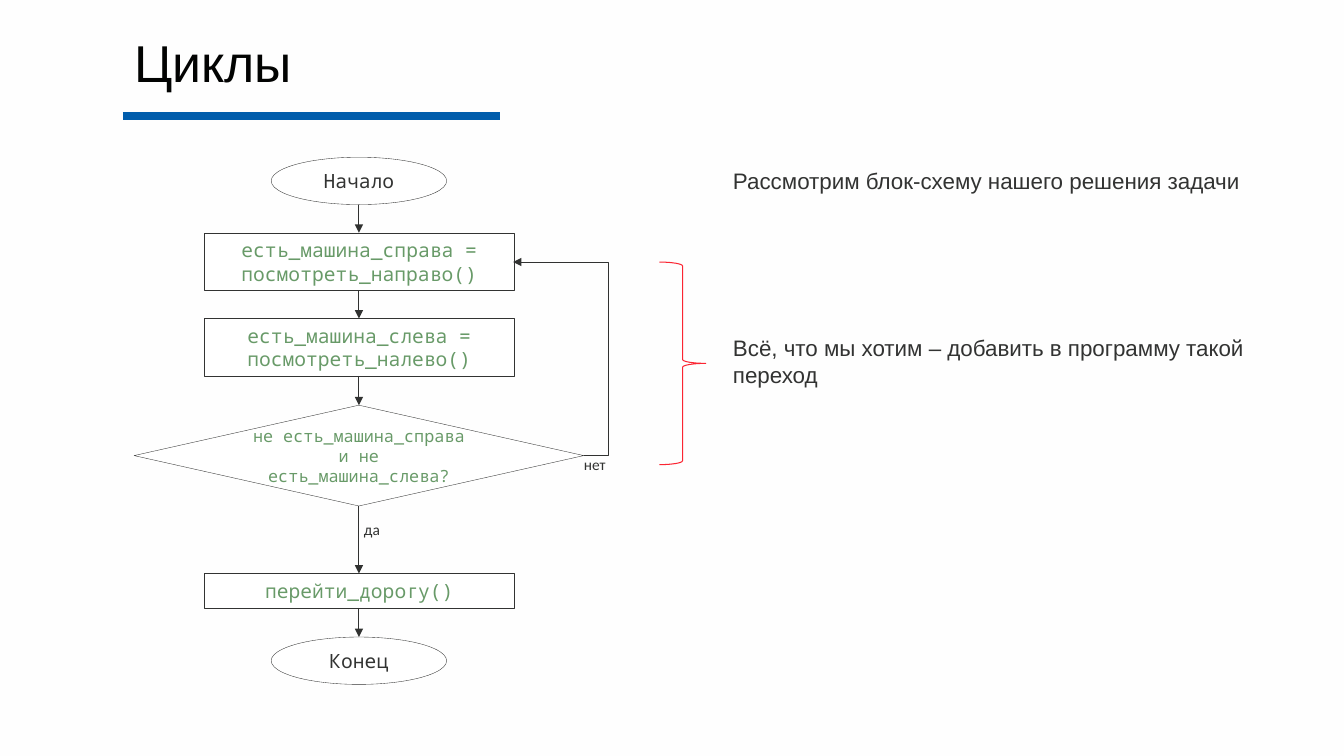
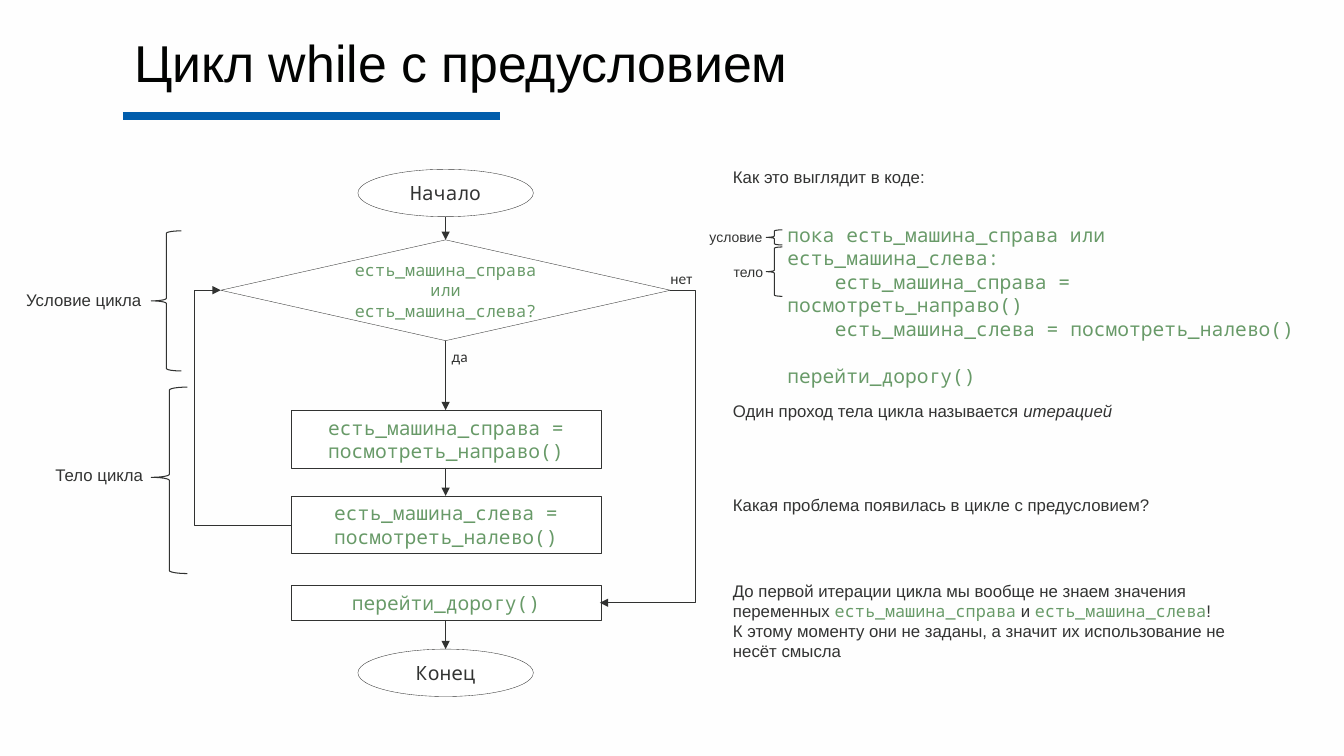
from dataclasses import dataclass

from lxml import etree
from pptx import Presentation
from pptx import util as u
from pptx.dml.color import RGBColor
from pptx.enum import shapes, text
from pptx.oxml.ns import qn

PX = 9144  # EMU in one px: 100 px to the inch
WIDTH, HEIGHT = 1333, 750
INSET = 5

PAPER, WHITE, BLACK = "FEFEFE", "FFFFFF", "020302"
INK, LINE, CODE, BLUE, RED = "323332", "313231", "689A68", "015DAC", "FB2532"
SANS, MONO, LABEL = "Arial", "Noto Sans Mono", "Calibri"

FLOW = shapes.MSO_SHAPE
LEFT, CENTER, RIGHT = text.PP_ALIGN.LEFT, text.PP_ALIGN.CENTER, text.PP_ALIGN.RIGHT
Point = tuple[int, int]


@dataclass(frozen=True)
class NodeKind:
    preset: int
    width: int
    height: int
    size: int = 14
    color: str = CODE


@dataclass(frozen=True)
class Node:
    kind: NodeKind
    top: int
    words: str
    linked: bool = True

    @property
    def bottom(self) -> int:
        return self.top + self.kind.height

    @property
    def middle(self) -> int:
        return self.top + self.kind.height // 2


@dataclass(frozen=True)
class Span:
    words: str
    font: str | None = None
    color: str | None = None
    italic: bool | None = None


@dataclass(frozen=True)
class Para:
    spans: tuple[Span, ...]
    indent: int = 0
    before: int = 0


@dataclass(frozen=True)
class Brace:
    preset: int
    left: int
    top: int
    width: int
    height: int
    color: str = LINE
    point: float = 0.5


TERMINAL = NodeKind(FLOW.FLOWCHART_CONNECTOR, 174, 47, color=INK)
ACTION = NodeKind(FLOW.FLOWCHART_PROCESS, 307, 57)
SHORT_ACTION = NodeKind(FLOW.FLOWCHART_PROCESS, 307, 34)
DECISION = NodeKind(FLOW.FLOWCHART_DECISION, 446, 100, size=12)

LOOK_RIGHT = "есть_машина_справа = посмотреть_направо()"
LOOK_LEFT = "есть_машина_слева = посмотреть_налево()"
CROSS = "перейти_дорогу()"


def px(*lengths: int) -> list[u.Emu]:
    return [u.Emu(length * PX) for length in lengths]


def rgb(color: str) -> RGBColor:
    return RGBColor.from_string(color)


def plain(words: str, **layout) -> Para:
    return Para((Span(words),), **layout)


def write(frame, *paras: Para, size: int, font: str = SANS, color: str = INK,
          align=LEFT) -> None:
    """Fill a text frame; a span may override font and colour."""
    for number, item in enumerate(paras):
        para = frame.add_paragraph() if number else frame.paragraphs[0]
        para.alignment = align
        if item.before:
            para.space_before = u.Pt(item.before)
        if item.indent:
            para._p.get_or_add_pPr().set("indent", str(item.indent * PX))
        for part in item.spans:
            span = para.add_run()
            span.text = part.words
            span.font.name = part.font or font
            span.font.size = u.Pt(size)
            span.font.italic = part.italic
            span.font.color.rgb = rgb(part.color or color)


def set_insets(frame) -> None:
    frame.margin_left, frame.margin_top, frame.margin_right, frame.margin_bottom = px(*[INSET] * 4)


def add_text(page, left: int, top: int, width: int, height: int, *paras: Para,
             wrap: bool = True, **style) -> None:
    box = page.shapes.add_textbox(*px(left, top, width, height))
    frame = box.text_frame
    set_insets(frame)
    frame.word_wrap = wrap
    frame.auto_size = text.MSO_AUTO_SIZE.SHAPE_TO_FIT_TEXT
    write(frame, *paras, **style)


def add_line(page, start: Point, end: Point, color: str = LINE, weight: float = 0.75,
             arrow: bool = True, lane: int | None = None) -> None:
    """Draw a straight line, or an elbow that runs along x = lane."""
    kinds = shapes.MSO_CONNECTOR
    kind = kinds.STRAIGHT if lane is None else kinds.ELBOW
    line = page.shapes.add_connector(kind, *px(*start, *end))
    line.line.color.rgb = rgb(color)
    line.line.width = u.Pt(weight)
    props = line.element.spPr
    if arrow:
        etree.SubElement(props.find(qn("a:ln")), qn("a:tailEnd"), type="triangle")
    if lane is not None:
        ratio = (lane - start[0]) / (end[0] - start[0])
        guides = props.find(qn("a:prstGeom")).get_or_add_avLst()
        etree.SubElement(guides, qn("a:gd"), name="adj1", fmla=f"val {round(ratio * 100000)}")
    etree.SubElement(props, qn("a:effectLst"))


def add_node(page, center: int, node: Node) -> None:
    kind = node.kind
    box = page.shapes.add_shape(
        kind.preset, *px(center - kind.width // 2, node.top, kind.width, kind.height))
    box.shadow.inherit = False
    box.fill.solid()
    box.fill.fore_color.rgb = rgb(WHITE)
    box.line.color.rgb = rgb(INK)
    box.line.width = u.Pt(0.25)
    frame = box.text_frame
    set_insets(frame)
    frame.word_wrap = True
    frame.vertical_anchor = text.MSO_ANCHOR.MIDDLE
    write(frame, plain(node.words), size=kind.size, font=MONO, color=kind.color, align=CENTER)


def add_flow(page, center: int, nodes: list[Node]) -> None:
    """Draw the nodes on one axis and the arrows between linked neighbours."""
    for node in nodes:
        add_node(page, center, node)
    for upper, lower in zip(nodes, nodes[1:]):
        if lower.linked:
            add_line(page, (center, upper.bottom), (center, lower.top))


def add_brace(page, brace: Brace) -> None:
    box = page.shapes.add_shape(
        brace.preset, *px(brace.left, brace.top, brace.width, brace.height))
    box.shadow.inherit = False
    box.fill.background()
    box.line.color.rgb = rgb(brace.color)
    box.line.width = u.Pt(0.75)
    box.adjustments[1] = brace.point


def add_branch_label(page, left: int, top: int, words: str) -> None:
    add_text(page, left, top, 32, 29, plain(words), size=11, font=LABEL, wrap=False)


def add_note(page, top: int, height: int, *paras: Para, size: int) -> None:
    add_text(page, 722, top, 543, height, *paras, size=size)


def add_page(deck, title: str):
    page = deck.slides.add_slide(deck.slide_layouts.get_by_name("Title Only"))
    add_line(page, (122, 115), (496, 115), color=BLUE, weight=6, arrow=False)
    box = page.shapes.title
    box.left, box.top, box.width, box.height = px(123, 39, 1064, 60)
    frame = box.text_frame
    frame.auto_size = text.MSO_AUTO_SIZE.NONE
    frame.vertical_anchor = text.MSO_ANCHOR.MIDDLE
    write(frame, plain(title), size=37, color=BLACK)
    frame.paragraphs[0].line_spacing = 0.7
    return page


def build_loops(deck) -> None:
    page = add_page(deck, "Циклы")
    center = 356
    look_right = Node(ACTION, 231, LOOK_RIGHT)
    check = Node(DECISION, 402, "не есть_машина_справа и не есть_машина_слева?")
    add_flow(page, center, [
        Node(TERMINAL, 156, "Начало"),
        look_right,
        Node(ACTION, 316, LOOK_LEFT),
        check,
        Node(SHORT_ACTION, 569, CROSS),
        Node(TERMINAL, 632, "Конец"),
    ])
    add_line(page, (center + DECISION.width // 2, check.middle),
             (center + ACTION.width // 2, look_right.middle + 1), lane=604)
    add_branch_label(page, 356, 511, "да")
    add_branch_label(page, 574, 447, "нет")
    add_note(page, 161, 37, plain("Рассмотрим блок-схему нашего решения задачи"), size=16)
    add_note(page, 327, 64,
             plain("Всё, что мы хотим – добавить в программу такой переход"), size=16)
    add_brace(page, Brace(FLOW.RIGHT_BRACE, 654, 260, 46, 201, RED))


def build_while(deck) -> None:
    page = add_page(deck, "Цикл while c предусловием")
    center = 442
    check = Node(DECISION, 238, "есть_машина_справа или есть_машина_слева?")
    look_left = Node(ACTION, 492, LOOK_LEFT)
    cross = Node(SHORT_ACTION, 581, CROSS, linked=False)
    add_flow(page, center, [
        Node(TERMINAL, 168, "Начало"),
        check,
        Node(ACTION, 407, LOOK_RIGHT),
        look_left,
        cross,
        Node(TERMINAL, 644, "Конец"),
    ])
    half_check, half_action = DECISION.width // 2, ACTION.width // 2
    add_line(page, (center + half_check, check.middle),
             (center + half_action, cross.middle), lane=690)
    add_line(page, (center - half_action, look_left.middle + 1),
             (center - half_check, check.middle), lane=193)
    add_branch_label(page, 443, 339, "да")
    add_branch_label(page, 660, 262, "нет")

    for brace in (
        Brace(FLOW.LEFT_BRACE, 150, 229, 30, 139),
        Brace(FLOW.LEFT_BRACE, 150, 384, 36, 185, point=0.484),
        Brace(FLOW.LEFT_BRACE, 760, 228, 16, 15),
        Brace(FLOW.LEFT_BRACE, 760, 245, 16, 49),
    ):
        add_brace(page, brace)
    add_text(page, 21, 283, 128, 30, plain("Условие цикла"), size=12)
    add_text(page, 50, 456, 130, 30, plain("Тело цикла"), size=12)
    add_text(page, 684, 222, 77, 27, plain("условие"), size=10, align=RIGHT)
    add_text(page, 711, 257, 51, 27, plain("тело"), size=10, align=RIGHT)

    add_text(page, 776, 216, 525, 128,
             plain("пока есть_машина_справа или есть_машина_слева:"),
             plain(LOOK_RIGHT, indent=47),
             plain(LOOK_LEFT, indent=47),
             plain(CROSS, before=17),
             size=14, font=MONO, color=CODE)
    add_note(page, 161, 30, plain("Как это выглядит в коде:"), size=12)
    add_note(page, 393, 30, Para((Span("Один проход тела цикла называется "),
                                  Span("итерацией", italic=True))), size=12)
    add_note(page, 486, 30, plain("Какая проблема появилась в цикле с предусловием?"), size=12)
    add_note(page, 571, 91,
             Para((Span("До первой итерации цикла мы вообще не знаем значения переменных "),
                   Span("есть_машина_справа", MONO, CODE),
                   Span(" и "),
                   Span("есть_машина_слева", MONO, CODE),
                   Span("!"))),
             plain("К этому моменту они не заданы, а значит их использование не несёт смысла"),
             size=12)


def main() -> None:
    deck = Presentation()
    deck.slide_width, deck.slide_height = px(WIDTH, HEIGHT)
    paper = deck.slide_master.background.fill
    paper.solid()
    paper.fore_color.rgb = rgb(PAPER)
    build_loops(deck)
    build_while(deck)
    deck.save("out.pptx")


if __name__ == "__main__":
    main()
